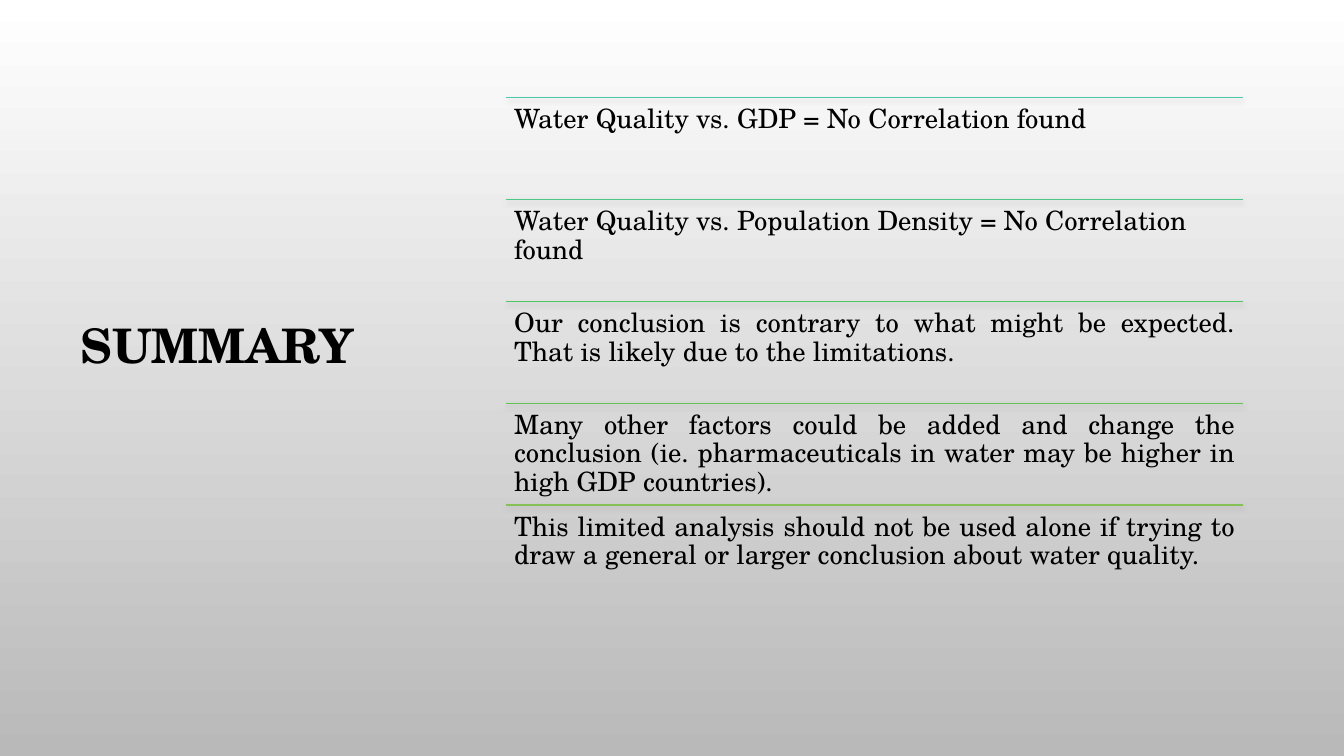
"""Build the summary slide: a title beside five ruled conclusions."""
from lxml import etree
from pptx import Presentation
from pptx.dml.color import RGBColor
from pptx.enum.shapes import MSO_CONNECTOR
from pptx.enum.text import MSO_ANCHOR, MSO_AUTO_SIZE, PP_ALIGN
from pptx.oxml import parse_xml
from pptx.util import Inches, Pt

FONT = "TeX Gyre Schola"
BLACK = RGBColor(0x00, 0x00, 0x00)
WHITE = RGBColor(0xFF, 0xFF, 0xFF)
GREY = RGBColor(0xB9, 0xB9, 0xB9)
TEAL = RGBColor(0x4B, 0xCA, 0xAD)
SEA = RGBColor(0x4E, 0xC8, 0x87)
GREEN = RGBColor(0x51, 0xC5, 0x64)
LEAF = RGBColor(0x64, 0xC3, 0x54)
LIME = RGBColor(0x86, 0xC1, 0x57)

LEFT, TOP, WIDTH, ROW = 5.02, 0.97, 7.31, 1.01
SHADOW = (
    '<a:effectLst xmlns:a="http://schemas.openxmlformats.org/drawingml/2006/main">'
    '<a:outerShdw blurRad="50800" dist="25400" dir="5400000" rotWithShape="0">'
    '<a:srgbClr val="000000"><a:alpha val="28000"/></a:srgbClr>'
    '</a:outerShdw></a:effectLst>'
)


def write(tf, text, size, bold=False, align=PP_ALIGN.LEFT, anchor=MSO_ANCHOR.TOP,
          inset=(0.08, 0.08), after=0):
    tf.word_wrap = True
    tf.auto_size = MSO_AUTO_SIZE.NONE
    tf.vertical_anchor = anchor
    tf.margin_left = tf.margin_right = Inches(inset[0])
    tf.margin_top = tf.margin_bottom = Inches(inset[1])
    p = tf.paragraphs[0]
    p.alignment = align
    p.line_spacing = 0.9
    p.space_before = Pt(0)
    p.space_after = Pt(after)
    r = p.add_run()
    r.text = text
    r.font.name = FONT
    r.font.size = Pt(size)
    r.font.bold = bold
    r.font.color.rgb = BLACK


prs = Presentation()
prs.slide_width = Inches(13.33)
prs.slide_height = Inches(7.5)
s = prs.slides.add_slide(prs.slide_layouts[5])

fill = s.background.fill
fill.gradient()
fill.gradient_angle = 270
for stop, color in zip(fill.gradient_stops, (WHITE, GREY)):
    stop.color.rgb = color

title = s.shapes.title
title.left, title.top = Inches(0.7), Inches(1.44)
title.width, title.height = Inches(3.11), Inches(4.02)
write(title.text_frame, "SUMMARY", 34, bold=True, anchor=MSO_ANCHOR.MIDDLE,
      inset=(0.1, 0.05))

conclusions = [
    (TEAL, PP_ALIGN.LEFT, "Water Quality vs. GDP = No Correlation found"),
    (SEA, PP_ALIGN.LEFT, "Water Quality vs. Population Density = No Correlation found"),
    (GREEN, PP_ALIGN.JUSTIFY,
     "Our conclusion is contrary to what might be expected. "
     "That is likely due to the limitations."),
    (LEAF, PP_ALIGN.JUSTIFY,
     "Many other factors could be added and change the conclusion "
     "(ie. pharmaceuticals in water may be higher in high GDP countries)."),
    (LIME, PP_ALIGN.JUSTIFY,
     "This limited analysis should not be used alone if trying to draw "
     "a general or larger conclusion about water quality."),
]

for i, (color, align, text) in enumerate(conclusions):
    y = Inches(TOP + i * ROW)
    rule = s.shapes.add_connector(MSO_CONNECTOR.STRAIGHT, Inches(LEFT), y,
                                  Inches(LEFT + WIDTH), y)
    rule.line.color.rgb = color
    rule.line.width = Pt(0.75)
    rule._element.spPr.append(parse_xml(SHADOW))
    box = s.shapes.add_textbox(Inches(LEFT), y, Inches(WIDTH), Inches(ROW))
    write(box.text_frame, text, 19, align=align, after=6.65)

prs.save("out.pptx")
